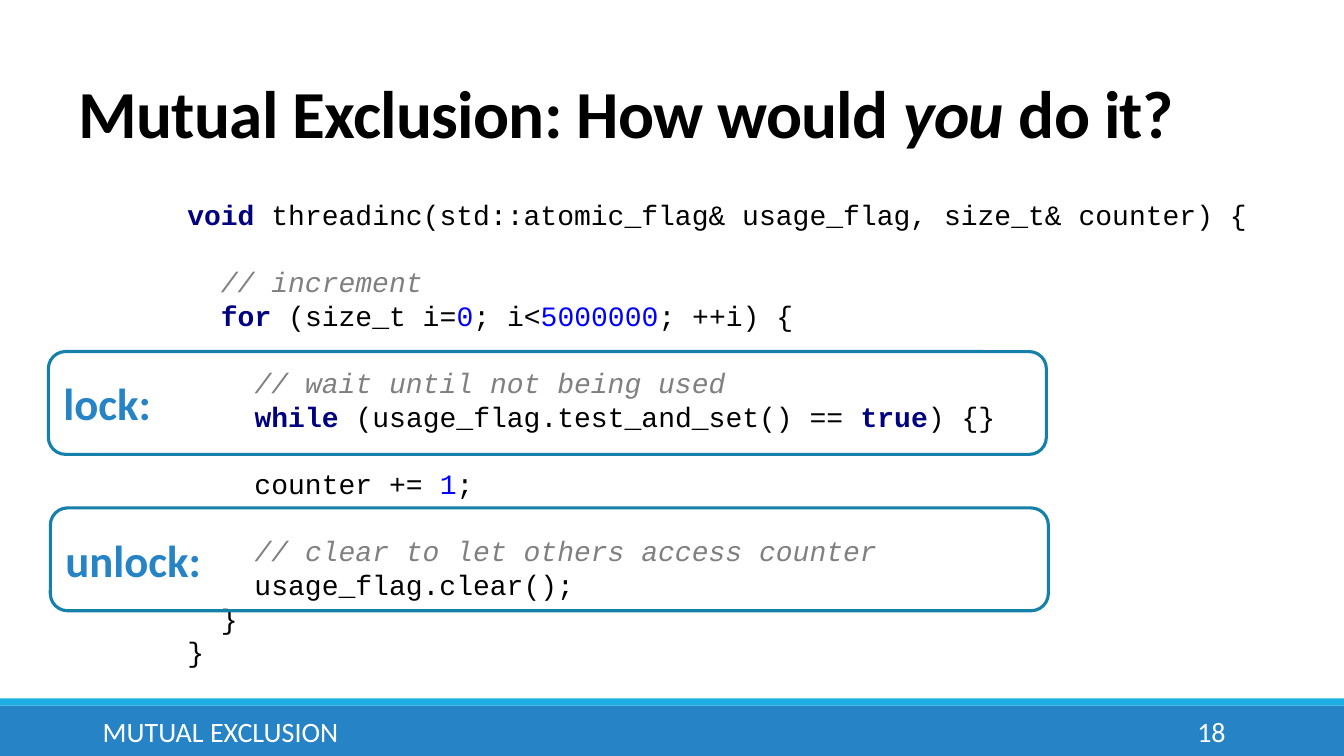
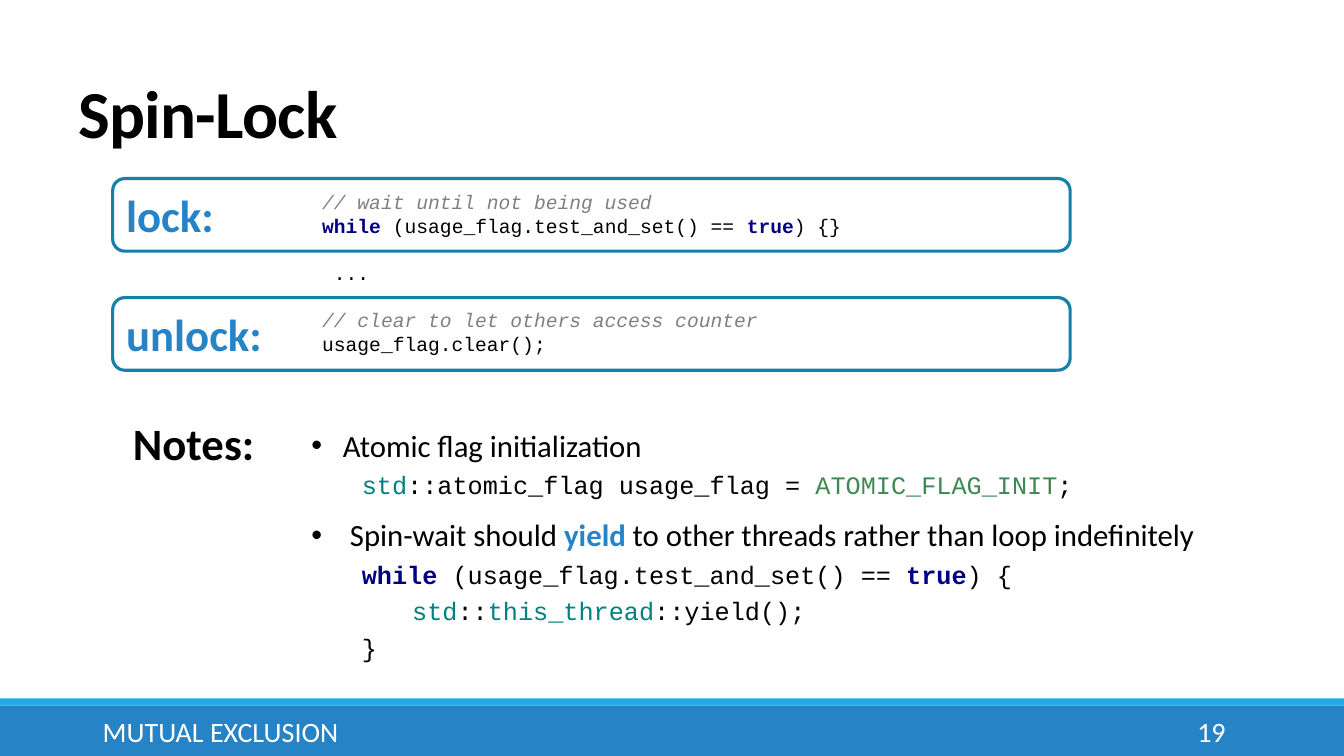
from dataclasses import dataclass

from lxml.etree import SubElement
from pptx import Presentation
from pptx.dml.color import RGBColor
from pptx.enum.shapes import MSO_SHAPE as Shape
from pptx.enum.text import MSO_ANCHOR as Anchor, PP_ALIGN as Align
from pptx.oxml.ns import qn
from pptx.util import Cm, Pt


@dataclass(frozen=True)
class Theme:
    band: str = "2683C6"
    stripe: str = "1CADE4"
    frame: str = "1580A9"
    text: str = "000000"
    inverse: str = "FFFFFF"
    keyword: str = "000080"
    comment: str = "808080"
    number: str = "0000FF"
    namespace: str = "008080"
    macro: str = "3E8853"
    body_font: str = "Calibri"
    code_font: str = "Courier New"
    title_size: int = 48
    label_size: int = 32
    bullet_size: int = 22
    code_size: int = 20
    footer_size: int = 20
    note_code_size: int = 18
    small_code_size: int = 14


THEME = Theme()
WIDTH, HEIGHT = 33.87, 19.05

# Run styles: colour, bold, italic
STYLES = {
    "plain": (THEME.text, False, False),
    "keyword": (THEME.keyword, True, False),
    "comment": (THEME.comment, False, True),
    "number": (THEME.number, False, False),
    "namespace": (THEME.namespace, False, False),
    "macro": (THEME.macro, False, False),
    "strong": (THEME.band, True, False),
    "title": (THEME.text, True, False),
    "title emphasis": (THEME.text, True, True),
}

# Code is a list of lines, and a line is a list of (text, style) runs
SPIN_TEST = [("while ", "keyword"),
             ("(usage_flag.test_and_set() == ", "plain"),
             ("true", "keyword")]
LOCK = [[("// wait until not being used", "comment")],
        SPIN_TEST + [(") {}", "plain")]]
UNLOCK = [[("// clear to let others access counter", "comment")],
          [("usage_flag.clear();", "plain")]]


def indented(lines, spaces):
    return [[(" " * spaces, "plain")] + line for line in lines]


THREAD_CODE = [
    [("void ", "keyword"),
     ("threadinc(std::atomic_flag& usage_flag, size_t& counter) {", "plain")],
    [],
    [("  ", "plain"), ("// increment", "comment")],
    [("  ", "plain"), ("for ", "keyword"), ("(size_t i=", "plain"),
     ("0", "number"), ("; i<", "plain"), ("5000000", "number"),
     ("; ++i) {", "plain")],
    [],
    *indented(LOCK, 4),
    [],
    [("    counter += ", "plain"), ("1", "number"), (";", "plain")],
    [],
    *indented(UNLOCK, 4),
    [("  }", "plain")],
    [("}", "plain")],
]
SHORT_CODE = LOCK + [[], [(" ...", "plain")], []] + UNLOCK

# Notes: hanging indent, heading runs, code lines
NOTES = [
    (0.79, [("Atomic flag initialization", "plain")],
     [[("\t", "plain"), ("std", "namespace"),
       ("::atomic_flag usage_flag = ", "plain"),
       ("ATOMIC_FLAG_INIT", "macro"), (";", "plain")]]),
    (0.97, [("Spin-wait should ", "plain"), ("yield", "strong"),
            (" to other threads rather than loop indefinitely", "plain")],
     [[("\t", "plain")] + SPIN_TEST + [(") {", "plain")],
      [("\t\t", "plain"), ("std", "namespace"), ("::", "plain"),
       ("this_thread", "namespace"), ("::yield();", "plain")],
      [("\t}", "plain")]]),
]


def set_font(font, name, size, color=None, bold=None):
    font.name, font.size, font.bold = name, Pt(size), bold
    if color:
        font.color.rgb = RGBColor.from_string(color)


def add_runs(paragraph, runs, name=None, size=None):
    """Append styled runs; name and size are for mixed paragraphs only."""
    for text, style in runs:
        run = paragraph.add_run()
        run.text = text
        color, run.font.bold, run.font.italic = STYLES[style]
        run.font.color.rgb = RGBColor.from_string(color)
        if name:
            run.font.name, run.font.size = name, Pt(size)


def add_text_box(slide, box, anchor=Anchor.TOP, wrap=True):
    frame = slide.shapes.add_textbox(*map(Cm, box)).text_frame
    frame.word_wrap = wrap
    frame.vertical_anchor = anchor
    return frame


def add_label(slide, box, text, size, color, bold=False, align=Align.LEFT,
              anchor=Anchor.MIDDLE, wrap=True):
    paragraph = add_text_box(slide, box, anchor, wrap).paragraphs[0]
    paragraph.text = text
    paragraph.alignment = align
    set_font(paragraph.font, THEME.body_font, size, color, bold)


def add_band(slide, top, height, color):
    band = slide.shapes.add_shape(Shape.RECTANGLE, 0, Cm(top), Cm(WIDTH),
                                  Cm(height))
    band.shadow.inherit = False
    band.fill.solid()
    band.fill.fore_color.rgb = RGBColor.from_string(color)
    band.line.fill.background()


def add_footer(slide, top, number):
    add_band(slide, top, HEIGHT - top, THEME.band)
    add_band(slide, top - 0.18, 0.18, THEME.stripe)
    for left, width, text, align in (
            (2.34, 21.31, "MUTUAL EXCLUSION", Align.LEFT),
            (27.51, 3.63, str(number), Align.RIGHT)):
        add_label(slide, (left, top + 0.15, width, 1.02), text,
                  THEME.footer_size, THEME.inverse, align=align)


def add_title(slide, box, runs):
    paragraph = add_text_box(slide, box, Anchor.BOTTOM).paragraphs[0]
    paragraph.line_spacing = 0.85
    set_font(paragraph.font, THEME.body_font, THEME.title_size)
    add_runs(paragraph, runs)
    for run in paragraph.runs:
        run.font._element.set("spc", "-50")


def add_code(slide, box, lines, size, anchor=Anchor.TOP):
    paragraph = add_text_box(slide, box, anchor).paragraphs[0]
    set_font(paragraph.font, THEME.code_font, size)
    for index, line in enumerate(lines):
        if index:
            paragraph.add_line_break()
        add_runs(paragraph, line)


def add_frame(slide, box, label):
    """Outline a part of the code, with its label at the left."""
    shape = slide.shapes.add_shape(Shape.ROUNDED_RECTANGLE, *map(Cm, box))
    shape.shadow.inherit = False
    shape.fill.background()
    shape.line.color.rgb = RGBColor.from_string(THEME.frame)
    shape.line.width = Pt(2.25)
    shape.text_frame.vertical_anchor = Anchor.MIDDLE
    paragraph = shape.text_frame.paragraphs[0]
    paragraph.text = label
    paragraph.alignment = Align.LEFT
    set_font(paragraph.font, THEME.body_font, THEME.label_size, THEME.band,
             True)


def add_bullet(paragraph, indent):
    properties = paragraph._p.get_or_add_pPr()
    properties.set("marL", str(Cm(indent)))
    properties.set("indent", str(-Cm(indent)))
    SubElement(properties, qn("a:buFont")).set("typeface", "Arial")
    SubElement(properties, qn("a:buChar")).set("char", "•")


def add_notes(slide, box, notes):
    frame = add_text_box(slide, box)
    for index, (indent, heading, code) in enumerate(notes):
        paragraph = frame.add_paragraph() if index else frame.paragraphs[0]
        add_bullet(paragraph, indent)
        paragraph.line_spacing = Pt(26)
        paragraph.space_after = Pt(12)
        add_runs(paragraph, heading, THEME.body_font, THEME.bullet_size)
        for line in code:
            paragraph.add_line_break()
            add_runs(paragraph, line, THEME.code_font, THEME.note_code_size)


def add_base_slide(presentation, title, number):
    slide = presentation.slides.add_slide(presentation.slide_layouts[6])
    add_footer(slide, 17.78, number)
    add_title(slide, (1.73, 1.8, 30, 2.16), title)
    return slide


def add_exclusion_slide(presentation):
    slide = add_base_slide(presentation, [
        ("Mutual Exclusion: How would ", "title"),
        ("you", "title emphasis"), (" do it?", "title")], 18)
    add_code(slide, (4.47, 4.8, 28.35, 12.22), THREAD_CODE, THEME.code_size,
             Anchor.MIDDLE)
    add_frame(slide, (1.22, 8.86, 25.15, 2.59), "lock:")
    add_frame(slide, (1.27, 12.8, 25.15, 2.59), "unlock:")


def add_spin_lock_slide(presentation):
    slide = add_base_slide(presentation, [("Spin-Lock", "title")], 19)
    add_code(slide, (7.87, 4.67, 18.5, 5.2), SHORT_CODE,
             THEME.small_code_size)
    for top, label in ((4.5, "lock:"), (7.5, "unlock:")):
        add_frame(slide, (2.84, top, 24.13, 1.83), label)
    add_label(slide, (3.1, 10.36, 3.6, 1.62), "Notes:", THEME.label_size,
              THEME.text, bold=True, anchor=Anchor.TOP, wrap=False)
    add_notes(slide, (7.6, 10.64, 26.27, 6.25), NOTES)


def main():
    presentation = Presentation()
    presentation.slide_width = Cm(WIDTH)
    presentation.slide_height = Cm(HEIGHT)
    add_exclusion_slide(presentation)
    add_spin_lock_slide(presentation)
    presentation.save("out.pptx")


if __name__ == "__main__":
    main()
